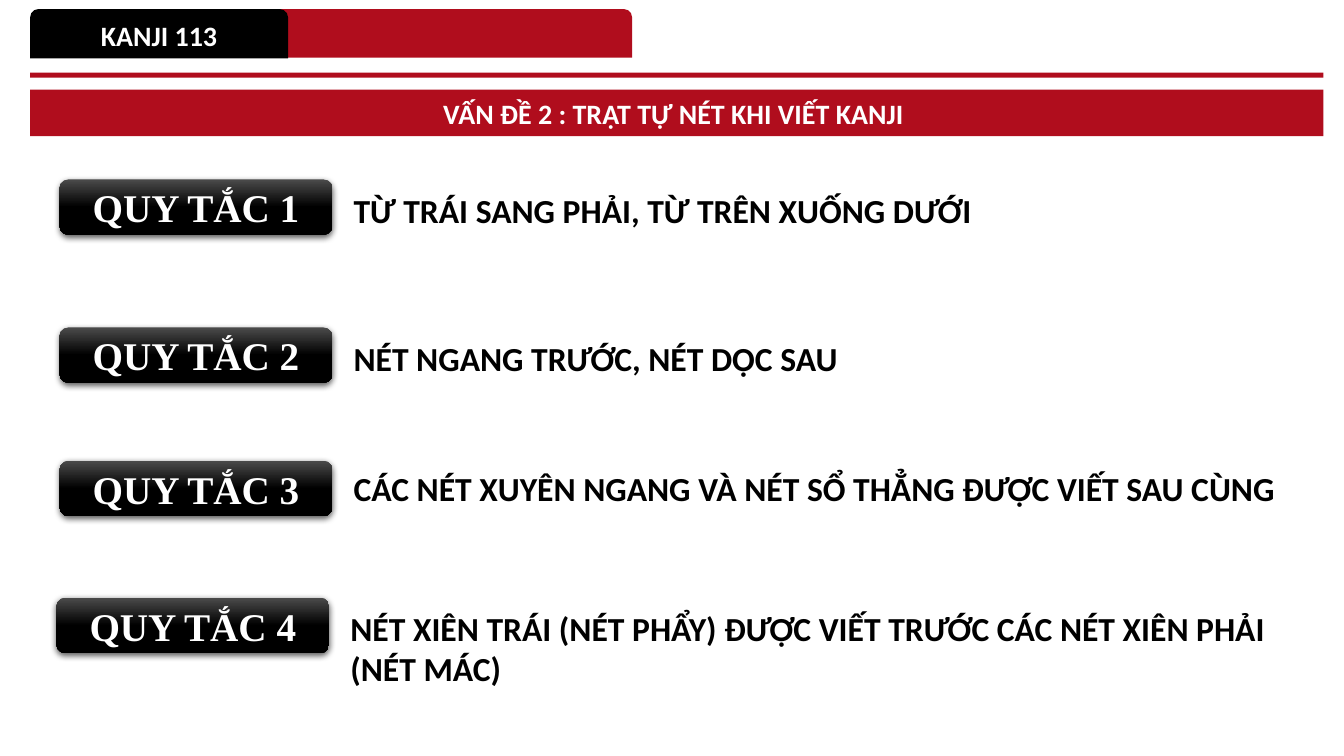
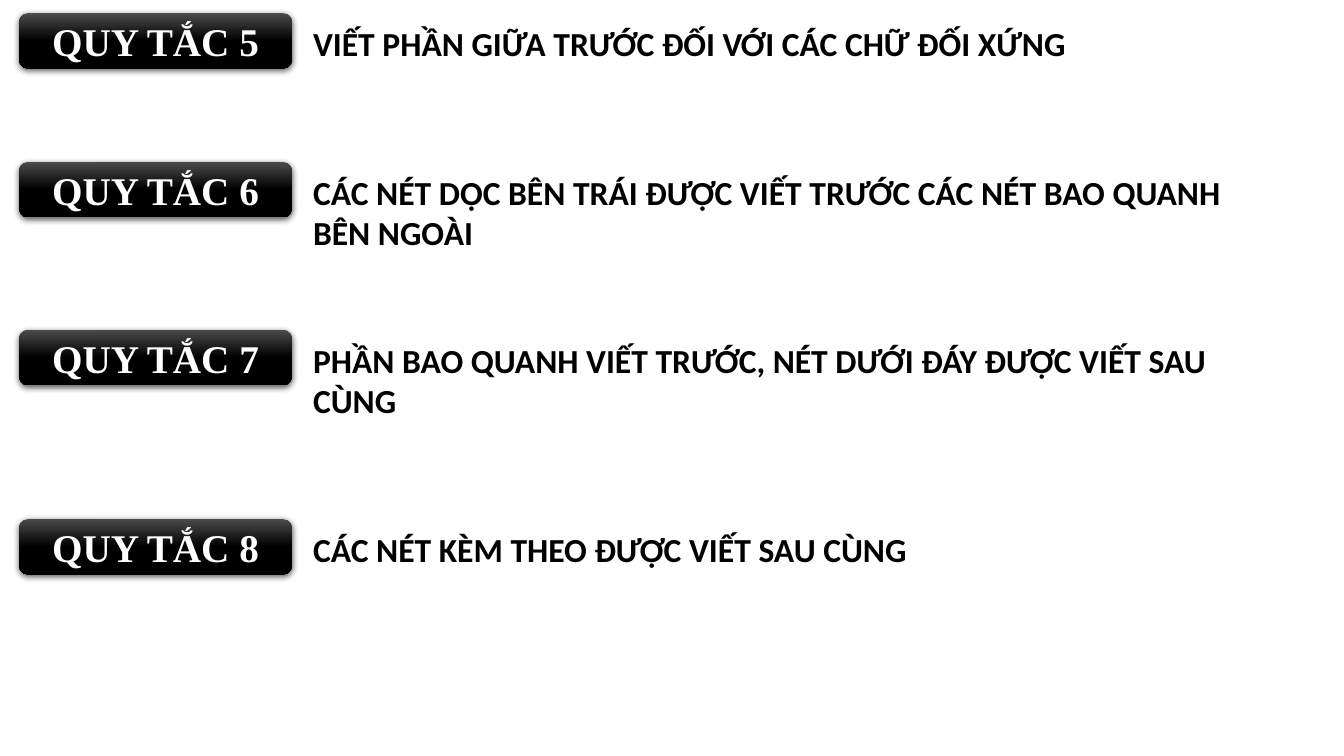
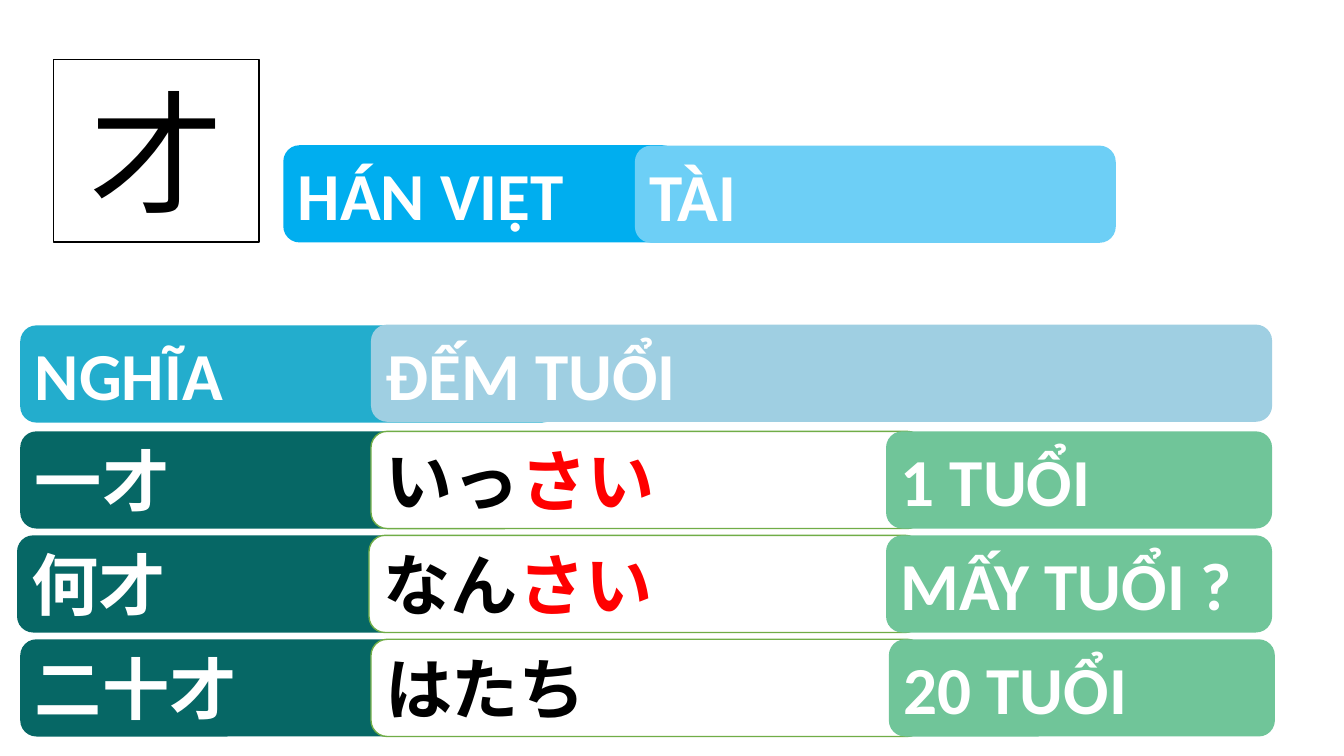
from lxml import etree
from pptx import Presentation
from pptx.dml.color import RGBColor
from pptx.enum import shapes, text
from pptx.oxml import ns
from pptx.util import Cm, Pt

RED = RGBColor(0xB0, 0x0D, 0x1D)
BLACK = RGBColor(0, 0, 0)
CHARCOAL = RGBColor(0x4B, 0x4B, 0x4B)
WHITE = RGBColor(0xFF, 0xFF, 0xFF)
ACCENT = RGBColor(0xFF, 0, 0)
AZURE = RGBColor(0x00, 0xAE, 0xEF)
SKY = RGBColor(0x6D, 0xCF, 0xF6)
TEAL = RGBColor(0x23, 0xAD, 0xCD)
MIST = RGBColor(0x9F, 0xCF, 0xE2)
PINE = RGBColor(0x06, 0x67, 0x65)
MINT = RGBColor(0x70, 0xC5, 0x99)
GRASS = RGBColor(0x70, 0xAD, 0x47)

RECT = shapes.MSO_SHAPE.RECTANGLE
ROUNDED = shapes.MSO_SHAPE.ROUNDED_RECTANGLE
TAB = shapes.MSO_SHAPE.ROUND_2_SAME_RECTANGLE
LEFT, CENTER = text.PP_ALIGN.LEFT, text.PP_ALIGN.CENTER


class Lesson:
    body_font = "Calibri"
    label_font = "Times New Roman"

    def __init__(self):
        self.deck = Presentation()
        self.deck.slide_width, self.deck.slide_height = Cm(33.87), Cm(19.05)
        self.page = None

    def new_page(self):
        self.page = self.deck.slides.add_slide(self.deck.slide_layouts[6])

    def set_text(self, box, parts, size, align=LEFT, bold=True, font=body_font):
        box.text_frame.word_wrap = True
        para = box.text_frame.paragraphs[0]
        para.alignment = align
        para.font.name, para.font.size, para.font.bold = font, Pt(size), bold
        for words, color in parts:
            span = para.add_run()
            span.text = words
            span.font.color.rgb = color

    def block(self, kind, left, top, width, height, fill, line=None):
        box = self.page.shapes.add_shape(kind, Cm(left), Cm(top), Cm(width), Cm(height))
        box.shadow.inherit = False
        box.fill.solid()
        box.fill.fore_color.rgb = fill
        if line is None:
            box.line.fill.background()
        else:
            box.line.color.rgb = line
            box.line.width = Pt(1)
        box.text_frame.vertical_anchor = text.MSO_ANCHOR.MIDDLE
        return box

    def header(self, course, topic):
        self.block(RECT, 0.76, 1.83, 32.59, 0.13, RED)
        self.block(TAB, 4.8, 0.23, 11.13, 1.22, RED)
        tab = self.block(TAB, 0.76, 0.23, 6.5, 1.24, BLACK)
        self.set_text(tab, [(course, WHITE)], 20, CENTER)
        band = self.block(RECT, 0.76, 2.26, 32.59, 1.17, RED)
        self.set_text(band, [(topic, WHITE)], 20, CENTER)

    def rule(self, number, left, top, width, lines, statement, drop=0.13):
        box = self.page.shapes.add_textbox(
            Cm(left + 7.16), Cm(top + drop), Cm(width), Cm(0.25 + 1.03 * lines))
        self.set_text(box, [(statement, BLACK)], 24)
        label = self.block(ROUNDED, left, top, 6.88, 1.4, BLACK)
        label.fill.gradient()
        label.fill.gradient_angle = 270
        stops = label.fill.gradient_stops
        for stop, color, position in zip(stops, (CHARCOAL, BLACK), (0, 0.5)):
            stop.color.rgb = color
            stop.position = position
        self.drop_shadow(label)
        self.set_text(label, [(f"QUY TẮC {number}", WHITE)], 28, CENTER, font=self.label_font)

    def drop_shadow(self, box):
        effects = box._element.spPr.find(ns.qn("a:effectLst"))
        shadow = etree.SubElement(
            effects, ns.qn("a:outerShdw"), blurRad=str(Pt(4.5)), dist=str(Pt(1.5)),
            dir="5400000", algn="ctr", rotWithShape="0")
        color = etree.SubElement(shadow, ns.qn("a:srgbClr"), val=str(BLACK))
        etree.SubElement(color, ns.qn("a:alpha"), val="63000")

    def panel(self, left, top, width, fill, parts, line=None):
        box = self.block(ROUNDED, left, top, width, 2.45, fill, line)
        self.set_text(box, parts, 48)

    def kanji(self, character):
        box = self.block(RECT, 1.35, 1.5, 5.18, 4.6, WHITE, BLACK)
        self.set_text(box, [(character, BLACK)], 96, CENTER, bold=False)


def main():
    lesson = Lesson()

    lesson.new_page()
    lesson.header("KANJI 113", "VẤN ĐỀ 2 : TRẬT TỰ NÉT KHI VIẾT KANJI ")
    lesson.rule(1, 1.5, 4.52, 19.48, 1, "TỪ TRÁI SANG PHẢI, TỪ TRÊN XUỐNG DƯỚI")
    lesson.rule(2, 1.5, 8.25, 19.48, 1, "NÉT NGANG TRƯỚC, NÉT DỌC SAU")
    lesson.rule(3, 1.5, 11.61, 24.77, 2,
                "CÁC NÉT XUYÊN NGANG VÀ NÉT SỔ THẲNG ĐƯỢC VIẾT SAU CÙNG", drop=0.05)
    lesson.rule(4, 1.42, 15.06, 24.77, 2,
                "NÉT XIÊN TRÁI (NÉT PHẨY) ĐƯỢC VIẾT TRƯỚC CÁC NÉT XIÊN PHẢI (NÉT MÁC)")

    lesson.new_page()
    for number, (top, width, lines, statement) in enumerate((
        (0.33, 24.92, 1, "VIẾT PHẦN GIỮA TRƯỚC ĐỐI VỚI CÁC CHỮ ĐỐI XỨNG"),
        (4.08, 24.21, 2, "CÁC NÉT DỌC BÊN TRÁI ĐƯỢC VIẾT TRƯỚC CÁC NÉT BAO QUANH BÊN NGOÀI"),
        (8.31, 24.92, 2, "PHẦN BAO QUANH VIẾT TRƯỚC, NÉT DƯỚI ĐÁY ĐƯỢC VIẾT SAU CÙNG"),
        (13.08, 22.45, 1, "CÁC NÉT KÈM THEO ĐƯỢC VIẾT SAU CÙNG"),
    ), start=5):
        lesson.rule(number, 0.48, top, width, lines, statement)

    lesson.new_page()
    lesson.kanji("才")
    lesson.panel(7.14, 3.66, 9.96, AZURE, [("HÁN VIỆT", WHITE)])
    lesson.panel(16, 3.67, 12.12, SKY, [("TÀI", WHITE)])
    lesson.panel(0.51, 8.2, 13.56, TEAL, [("NGHĨA", WHITE)])
    lesson.panel(9.35, 8.18, 22.71, MIST, [("ĐẾM TUỔI", WHITE)])
    examples = (
        ("一才", [("いっ", BLACK), ("さい", ACCENT)], "1 TUỔI", (0.51, 9.35, 22.33)),
        ("何才", [("なん", BLACK), ("さい", ACCENT)], "MẤY TUỔI ?", (0.43, 9.3, 22.33)),
        ("二十才", [("はたち", BLACK)], "20 TUỔI", (0.51, 9.35, 22.4)),
    )
    for row, (word, reading, meaning, lefts) in enumerate(examples):
        top = 10.87 + 2.62 * row
        lesson.panel(lefts[0], top, 13.56, PINE, [(word, WHITE)])
        lesson.panel(lefts[1], top, 13.92, WHITE, reading, GRASS)
        lesson.panel(lefts[2], top, 9.73, MINT, [(meaning, WHITE)])

    lesson.deck.save("out.pptx")


if __name__ == "__main__":
    main()
